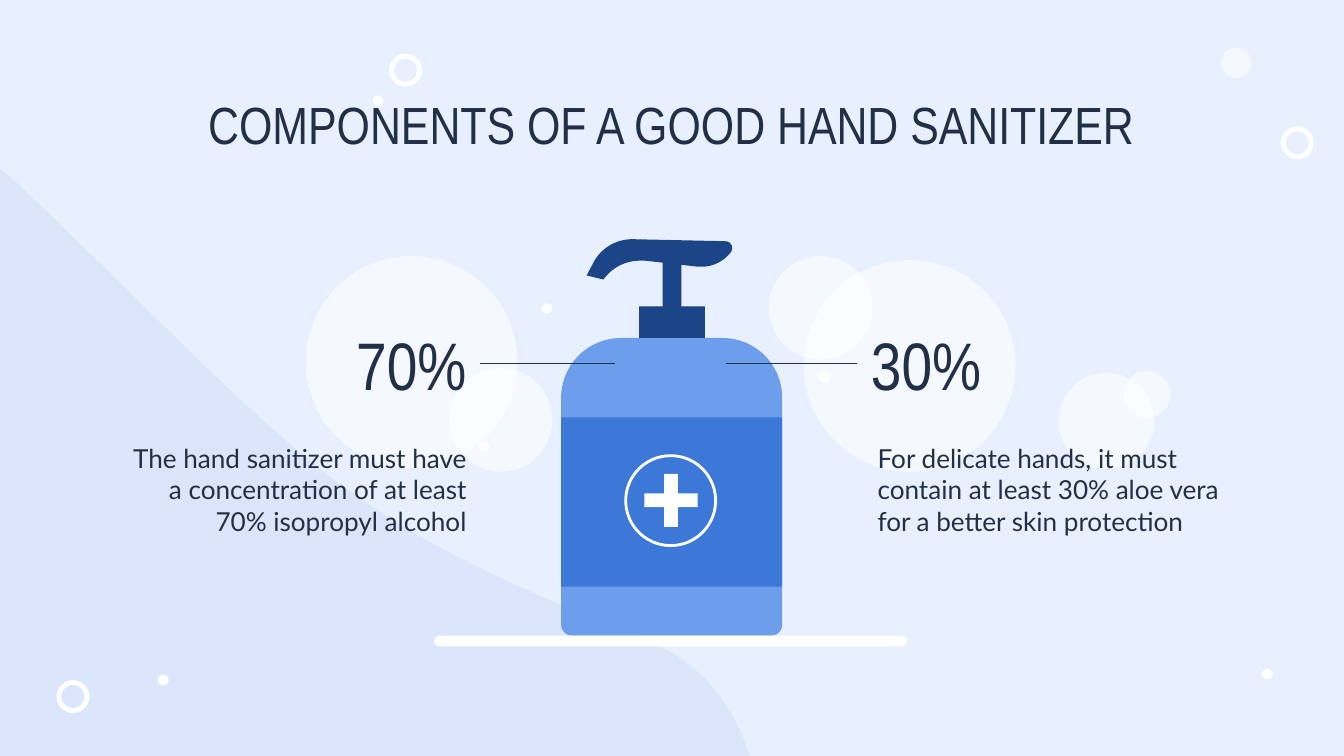
"""Build the slide on the components of a good hand sanitizer."""
import pptx
import pptx.dml.color
import pptx.enum.shapes
import pptx.enum.text
import pptx.oxml.ns
import pptx.util
from lxml import etree

Inches = pptx.util.Inches
SHAPE = pptx.enum.shapes.MSO_SHAPE
ALIGN = pptx.enum.text.PP_ALIGN
ANCHOR = pptx.enum.text.MSO_ANCHOR

PALE, WAVE_BLUE, WHITE, INK = "E8F0FF", "DBE6FA", "FFFFFF", "223047"
LIGHT_BLUE, MID_BLUE, NAVY = "6D9EEB", "3C78D8", "1C4587"

WAVE = [(0, 2.51), (0, 11.25), (11.15, 11.25),
        (10.92, 10.45, 10.39, 9.82, 9.52, 9.48),
        (4.92, 7.66, 4.7, 7.01, 0.41, 2.87),
        (0.27, 2.74, 0.14, 2.62, 0, 2.51)]
NOZZLE = [(9.41, 3.56), (9.16, 3.56, 8.93, 3.7, 8.82, 3.93), (8.73, 4.1), (8.98, 4.16),
          (9.11, 3.98, 9.31, 3.88, 9.52, 3.88), (9.55, 3.88, 9.57, 3.88, 9.6, 3.88),
          (10.39, 3.97), (10.4, 3.97, 10.42, 3.97, 10.44, 3.97),
          (10.61, 3.97, 10.77, 3.89, 10.87, 3.76),
          (10.93, 3.69, 10.88, 3.59, 10.79, 3.59), (9.42, 3.56)]

CORNER_BUBBLES = [(18.17, 0.71, 0.45), (15.75, 5.55, 1.43), (16.72, 5.52, 0.7)]
VALUE_BUBBLES = [(4.55, 3.81, 3.15), (6.68, 5.48, 1.54), (11.96, 3.87, 3.15), (11.44, 3.81, 1.54)]
DOTS = [(2.35, 10.04), (18.78, 9.95), (5.55, 1.42), (8.06, 4.51), (12.19, 5.54), (7.12, 6.56)]
RINGS = [(0.84, 10.12), (5.79, 0.8), (19.06, 1.88)]
DOT_SIZE, RING_SIZE = 0.16, 0.49

BOTTLE = [
    (SHAPE.ROUND_2_SAME_RECTANGLE, (8.35, 5.03, 3.29, 4.43), LIGHT_BLUE, (0.27, 0.05)),
    (SHAPE.RECTANGLE, (8.35, 6.21, 3.29, 2.52), MID_BLUE, ()),
    (SHAPE.OVAL, (9.32, 6.78, 1.33, 1.33), MID_BLUE, ()),
    (SHAPE.DONUT, (9.29, 6.76, 1.38, 1.38), WHITE, (0.03,)),
    (SHAPE.CROSS, (9.59, 7.05, 0.79, 0.79), WHITE, (0.37,)),
    (SHAPE.RECTANGLE, (9.51, 4.56, 0.98, 0.47), NAVY, ()),
    (SHAPE.RECTANGLE, (9.86, 3.76, 0.28, 0.91), NAVY, ()),
]
LEDGE = (6.46, 9.46, 7.04, 0.16)

TITLE = ("COMPONENTS OF A GOOD HAND SANITIZER", (1.57, 1.18, 16.85, 1.04), ALIGN.CENTER)
COMPONENTS = [
    {"value": "70%", "value_box": (2.37, 4.75, 4.77, 1.32),
     "detail": "The hand sanitizer must have a concentration of at least 70% isopropyl alcohol",
     "detail_box": (1.57, 6.38, 5.57, 2.42), "align": ALIGN.RIGHT, "indent": 0.19,
     "side": 3, "bottle_x": 9.15},
    {"value": "30%", "value_box": (12.76, 4.75, 4.87, 1.32),
     "detail": "For delicate hands, it must contain at least 30% aloe vera "
               "for a better skin protection",
     "detail_box": (12.86, 6.38, 5.57, 2.42), "align": ALIGN.LEFT, "indent": 0,
     "side": 1, "bottle_x": 10.8},
]
POINTER_Y = 5.41


def rgb(color):
    return pptx.dml.color.RGBColor.from_string(color)


def paint(shape, color, opacity=100):
    shape.shadow.inherit = False
    shape.fill.solid()
    shape.fill.fore_color.rgb = rgb(color)
    shape.line.fill.background()
    if opacity < 100:
        tint = shape.fill._xPr.find(".//" + pptx.oxml.ns.qn("a:srgbClr"))
        etree.SubElement(tint, pptx.oxml.ns.qn("a:alpha"), val=str(opacity * 1000))


def add_part(slide, kind, box, color, adjustments=(), opacity=100):
    part = slide.shapes.add_shape(kind, *map(Inches, box))
    for index, value in enumerate(adjustments):
        part.adjustments[index] = value
    paint(part, color, opacity)


def add_outline(slide, segments, color, steps=24):
    points = [segments[0]]
    for segment in segments[1:]:
        if len(segment) == 2:
            points.append(segment)
            continue
        start, (ax, ay, bx, by, cx, cy) = points[-1], segment
        for step in range(1, steps + 1):
            t = step / steps
            weights = ((1 - t) ** 3, 3 * t * (1 - t) ** 2, 3 * t * t * (1 - t), t ** 3)
            points.append(tuple(sum(w * p for w, p in zip(weights, axis))
                                for axis in ((start[0], ax, bx, cx), (start[1], ay, by, cy))))
    corners = [(Inches(x), Inches(y)) for x, y in points]
    builder = slide.shapes.build_freeform(*corners[0])
    builder.add_line_segments(corners[1:], close=True)
    paint(builder.convert_to_shape(), color)


def add_text(slide, words, box, align, font, size, anchor=ANCHOR.TOP, indent=0):
    text_box = slide.shapes.add_textbox(*map(Inches, box))
    frame = text_box.text_frame
    frame_format = {"word_wrap": True, "vertical_anchor": anchor}
    frame_format.update({f"margin_{side}": Inches(0.2)
                         for side in ("left", "right", "top", "bottom")})
    for name, value in frame_format.items():
        setattr(frame, name, value)
    paragraph = frame.paragraphs[0]
    paragraph.text = words
    paragraph.alignment = align
    if indent:
        paragraph._p.get_or_add_pPr().set("marL", str(Inches(indent)))
    run_font = paragraph.runs[0].font
    for name, value in {"name": font, "size": pptx.util.Pt(size)}.items():
        setattr(run_font, name, value)
    run_font.color.rgb = rgb(INK)
    return text_box


def add_pointer(slide, value_box, side, bottle_x):
    end_x, y = Inches(bottle_x), Inches(POINTER_Y)
    pointer = slide.shapes.add_connector(
        pptx.enum.shapes.MSO_CONNECTOR.STRAIGHT, end_x, y, end_x, y)
    pointer.begin_connect(value_box, side)
    pointer.line.color.rgb = rgb(INK)
    pointer.line.width = pptx.util.Pt(1.5)
    etree.SubElement(pointer._element.spPr, pptx.oxml.ns.qn("a:effectLst"))


def main():
    deck = pptx.Presentation()
    deck.slide_width, deck.slide_height = Inches(20), Inches(11.25)
    slide = deck.slides.add_slide(deck.slide_layouts[6])
    slide.background.fill.solid()
    slide.background.fill.fore_color.rgb = rgb(PALE)

    add_outline(slide, WAVE, WAVE_BLUE)
    for x, y, size in CORNER_BUBBLES:
        add_part(slide, SHAPE.OVAL, (x, y, size, size), WHITE, opacity=60)
    for x, y in DOTS:
        add_part(slide, SHAPE.OVAL, (x, y, DOT_SIZE, DOT_SIZE), WHITE)
    for x, y in RINGS:
        add_part(slide, SHAPE.DONUT, (x, y, RING_SIZE, RING_SIZE), WHITE, (0.15,))
    for kind, box, color, adjustments in BOTTLE:
        add_part(slide, kind, box, color, adjustments)
    add_outline(slide, NOZZLE, NAVY)
    add_part(slide, SHAPE.ROUNDED_RECTANGLE, LEDGE, WHITE, (0.5,))
    for x, y, size in VALUE_BUBBLES:
        add_part(slide, SHAPE.OVAL, (x, y, size, size), WHITE, opacity=60)

    for component in COMPONENTS:
        align = component["align"]
        add_text(slide, component["detail"], component["detail_box"], align,
                 "Lato", 28, indent=component["indent"])
        value = add_text(slide, component["value"], component["value_box"], align,
                         "Arial Narrow", 72, ANCHOR.MIDDLE)
        add_pointer(slide, value, component["side"], component["bottle_x"])
    add_text(slide, *TITLE, "Arial Narrow", 56)
    deck.save("out.pptx")


if __name__ == "__main__":
    main()
